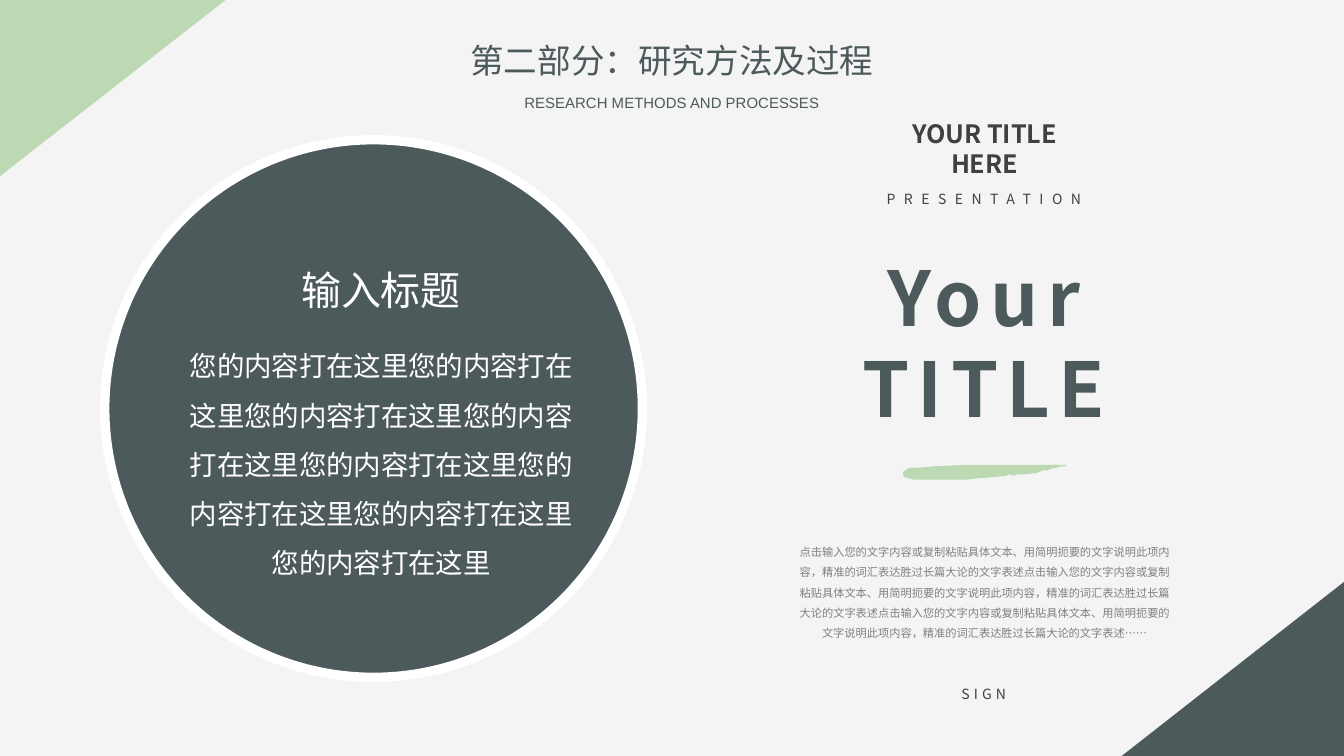
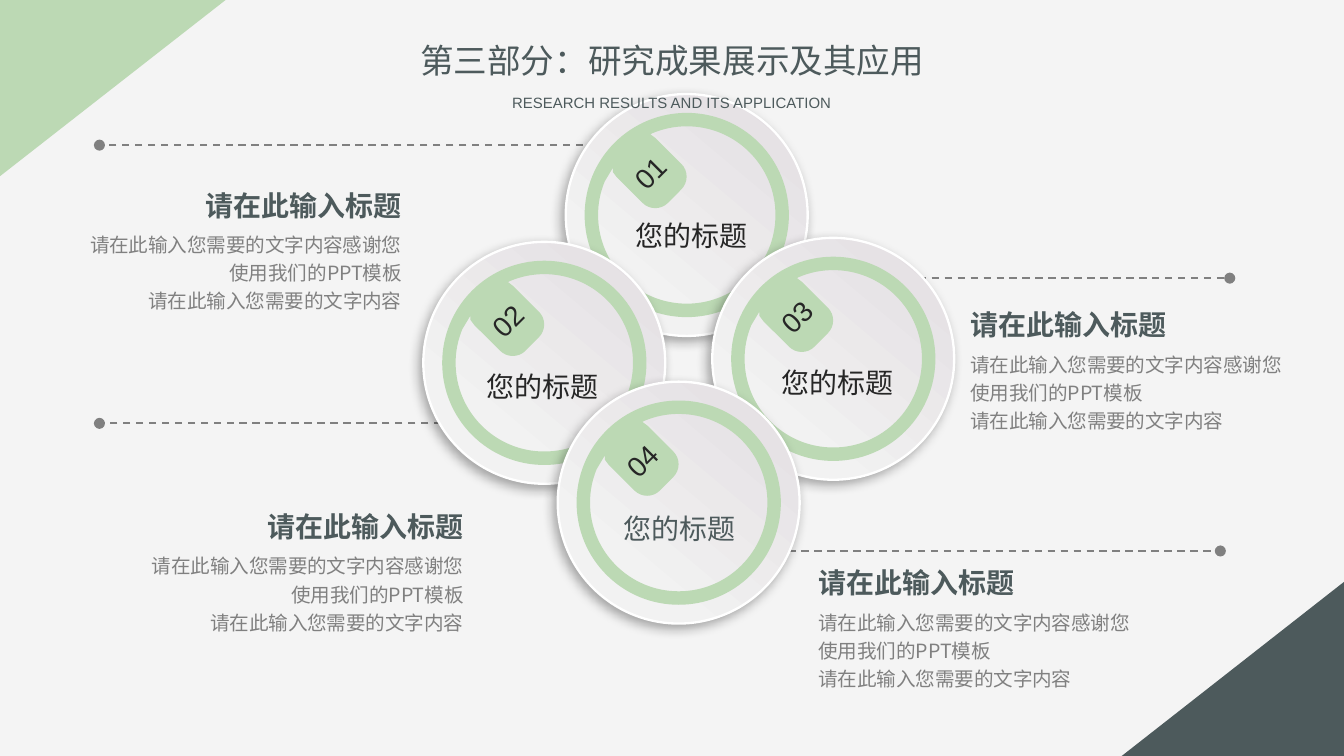
from math import cos, radians, sin, tan

from lxml import etree
from pptx import Presentation
from pptx.dml.color import RGBColor
from pptx.enum.dml import MSO_LINE
from pptx.enum.shapes import MSO_CONNECTOR, MSO_SHAPE
from pptx.enum.text import MSO_AUTO_SIZE, PP_ALIGN
from pptx.oxml.ns import qn
from pptx.util import Inches, Pt

LEFT, MID, RIGHT = PP_ALIGN.LEFT, PP_ALIGN.CENTER, PP_ALIGN.RIGHT
GROW = MSO_AUTO_SIZE.SHAPE_TO_FIT_TEXT
OVAL, WEDGE = MSO_SHAPE.OVAL, MSO_SHAPE.RIGHT_TRIANGLE
STRAIGHT, DASH = MSO_CONNECTOR.STRAIGHT, MSO_LINE.DASH

WIDE, HIGH = 10, 5.625
SANS, LATIN = "Noto Sans CJK SC", "Arial"
GREEN, SLATE, PAPER, WHITE = "BCD9B4", "4D5A5C", "F4F4F4", "FFFFFF"
GREY, DARK, INK = "808080", "404040", "262626"

METHODS = ("第二部分：研究方法及过程", 3.23, "RESEARCH METHODS AND PROCESSES", 2.42)
RESULTS = ("第三部分：研究成果展示及其应用", 3.99, "RESEARCH RESULTS AND ITS APPLICATION", 2.63)

FILLER = "您的内容打在这里" * 8
CLICK = "点击输入您的文字内容或复制粘贴具体文本、用简明扼要的文字说明此项内容，精准的词汇表达胜过长篇大论的文字表述"
STROKE = [
    (7.56, 3.46), (7.84, 3.46), (7.9, 3.46), (7.93, 3.46), (7.93, 3.47), (7.88, 3.47),
    (7.88, 3.48), (7.86, 3.48), (7.81, 3.49), (7.8, 3.5), (7.76, 3.5), (7.71, 3.52),
    (7.62, 3.53), (7.56, 3.53), (7.55, 3.54), (7.5, 3.53), (7.49, 3.54), (7.4, 3.55),
    (7.27, 3.56), (7.19, 3.57), (7.09, 3.57), (7, 3.57), (6.87, 3.57), (6.8, 3.57),
    (6.76, 3.56), (6.73, 3.55), (6.72, 3.54), (6.72, 3.52), (6.72, 3.51), (6.75, 3.49),
    (6.77, 3.48), (6.84, 3.48), (6.95, 3.47), (7.17, 3.46), (7.3, 3.46), (7.43, 3.46),
]

LABEL = "您的标题"
DISCS = [
    ("01", 5.11, 1.6, -0.48, -0.02, INK),
    ("03", 6.2, 2.67, -0.48, 0, INK),
    ("02", 4.05, 2.7, -0.53, 0, INK),
    ("04", 5.05, 3.74, -0.51, 0.02, SLATE),
]
LINKS = [(4.47, 0.74, 1.08), (3.32, 0.74, 3.15), (6.8, 9.15, 2.07), (5.83, 9.08, 4.1)]
HEAD = "请在此输入标题"
BODY = ["请在此输入您需要的文字内容感谢您使用我们的PPT模板", "请在此输入您需要的文字内容"]
NOTES = [(7.12, 2.25, LEFT), (1.4, 1.36, RIGHT), (5.99, 4.17, LEFT), (1.86, 3.75, RIGHT)]


def tint(code):
    return RGBColor.from_string(code)


def node(root, tag, **attrs):
    return etree.SubElement(root, qn(tag), attrs)


def text(slide, box, lines, size, color, font=SANS, align=MID, bold=False,
         wrap=False, space=None, gap=None, pad=(0.1, 0.05), turn=0):
    shape = slide.shapes.add_textbox(*map(Inches, box))
    shape.rotation = turn
    frame = shape.text_frame
    frame.word_wrap, frame.auto_size = wrap, GROW
    frame.margin_left = frame.margin_right = Inches(pad[0])
    frame.margin_top = frame.margin_bottom = Inches(pad[1])
    frame.text = "\n".join(lines)
    for para in frame.paragraphs:
        para.alignment = align
        if gap:
            para.line_spacing = gap
        face = para.font
        face.name, face.size, face.bold = font, Pt(size), bold
        face.color.rgb = tint(color)
        props = para._p.pPr.find(qn("a:defRPr"))
        node(props, "a:ea", typeface=font)
        if space:
            props.set("spc", str(int(space * 100)))


def paint(shape, fill, line=None, width=1):
    shape.shadow.inherit = False
    if fill:
        shape.fill.solid()
        shape.fill.fore_color.rgb = tint(fill)
    if line:
        shape.line.color.rgb = tint(line)
        shape.line.width = Pt(width)
    else:
        shape.line.fill.background()


def preset(slide, kind, x, y, w, h):
    return slide.shapes.add_shape(kind, *map(Inches, (x, y, w, h)))


def outline(slide, *loops):
    """Build a green shape from loops of steps: one point is a line, three a curve."""
    build = None
    for loop in loops:
        pts = [(Inches(x), Inches(y)) for step in loop for x, y in step]
        if build:
            build.move_to(*pts[0])
        else:
            build = slide.shapes.build_freeform(*pts[0], scale=1.0)
        build.add_line_segments(pts[1:], close=True)
    shape = build.convert_to_shape()
    lines = iter(list(shape._element.iter(qn("a:lnTo"))))
    for step in (step for loop in loops for step in loop[1:]):
        parts = [next(lines) for _ in step]
        if len(parts) == 3:
            curve = etree.Element(qn("a:cubicBezTo"))
            parts[0].addprevious(curve)
            for part in parts:
                curve.append(part[0])
                part.getparent().remove(part)
    paint(shape, GREEN)
    return shape


def bend(r, start, end, x=0, y=0):
    """Return the curve step for an arc of at most a quarter turn."""
    a, b = radians(start), radians(end)
    k = 4 / 3 * tan((b - a) / 4)
    return [(x + r * (cos(a) - k * sin(a)), y + r * (sin(a) + k * cos(a))),
            (x + r * (cos(b) + k * sin(b)), y + r * (sin(b) - k * cos(b))),
            (x + r * cos(b), y + r * sin(b))]


def place(loop, x, y, turn=0):
    c, s = cos(radians(turn)), sin(radians(turn))
    return [[(x + c * a - s * b, y + s * a + c * b) for a, b in step] for step in loop]


RIM = [[(0.76, 0)]] + [bend(0.76, a, a + 90) for a in range(0, 360, 90)]
HOLE = [
    [(0, -0.66)], bend(0.66, -90, -113), [(-0.27, -0.6)], [(-0.23, -0.57)], [(-0.04, -0.38)],
    bend(0.134, -45, 45, -0.135, -0.285), [(-0.14, -0.09)],
    bend(0.134, 45, 135, -0.235, -0.185), [(-0.52, -0.28)], [(-0.55, -0.32)],
    [(-0.55, -0.35)], [(-0.61, -0.25)], bend(0.66, 202, 180),
] + [bend(0.66, a, a - 90) for a in (180, 90, 0)]


def page(deck):
    slide = deck.slides.add_slide(deck.slide_layouts[6])
    slide.background.fill.solid()
    slide.background.fill.fore_color.rgb = tint(PAPER)
    for x, y, w, h, turn, fill in ((0.18, -0.19, 1.32, 1.69, 90, GREEN),
                                   (8.52, 4.15, 1.3, 1.66, 270, SLATE)):
        wedge = preset(slide, WEDGE, x, y, w, h)
        wedge.rotation = turn
        paint(wedge, fill)
    return slide


def title(slide, name, wide, sub, span):
    text(slide, ((WIDE - wide) / 2, 0.25, wide, 0.4), [name], 18, SLATE)
    text(slide, ((WIDE - span) / 2, 0.65, span, 0.24), [sub], 8, SLATE, LATIN)


def methods(deck):
    slide = page(deck)
    text(slide, (6.67, 0.83, 1.31, 0.56), ["YOUR TITLE", "HERE"], 13.5, DARK, bold=True)
    text(slide, (6.47, 1.37, 1.7, 0.23), ["PRESENTATION"], 7.5, DARK, space=4.5)
    text(slide, (6.26, 1.82, 2.12, 1.46), ["Your", "TITLE"], 40.5, SLATE, bold=True, space=4.5)
    text(slide, (7.04, 5.05, 0.56, 0.23), ["SIGN"], 7.5, DARK, space=2.2)
    outline(slide, [[spot] for spot in STROKE])
    text(slide, (5.94, 4.01, 2.77, 0.74), [CLICK * 3 + "……"], 6, GREY,
         wrap=True, gap=1.5, pad=(0, 0))
    title(slide, *METHODS)
    paint(preset(slide, OVAL, 0.78, 1.04, 4, 4), SLATE, WHITE, 5)
    text(slide, (1.26, 2.43, 3.15, 1.95), [FILLER], 14.64, WHITE, wrap=True, gap=1.5)
    text(slide, (2.12, 1.93, 1.43, 0.46), ["输入标题"], 21.4, WHITE)


def link(slide, start, end, y):
    line = slide.shapes.add_connector(STRAIGHT, *map(Inches, (start, y, end, y)))
    line.line.color.rgb = tint(GREY)
    line.line.width, line.line.dash_style = Pt(1), DASH
    props = line._element.spPr
    for tag in ("a:headEnd", "a:tailEnd"):
        node(props.find(qn("a:ln")), tag, type="oval")
    node(props, "a:effectLst")


def disc(slide, num, x, y, dx, dy, color):
    plate = preset(slide, OVAL, x - 0.9, y - 0.9, 1.8, 1.8)
    plate.fill.gradient()
    plate.fill.gradient_angle = 230
    for stop, (spot, code) in zip(plate.fill.gradient_stops, ((0, "E2DDE1"), (0.76, "F2F2F2"))):
        stop.position, stop.color.rgb = spot, tint(code)
    paint(plate, None, WHITE, 1.25)
    cast = node(plate._element.spPr.find(qn("a:effectLst")), "a:outerShdw",
                blurRad=str(Pt(6)), dist=str(Pt(3)), dir=str(135 * 60000), rotWithShape="0")
    node(node(cast, "a:srgbClr", val="000000"), "a:alpha", val="32000")
    outline(slide, place(RIM, x, y), place(HOLE, x, y, -45)).rotation = 45
    text(slide, (x - 0.64, y - 0.49, 0.73, 0.35), [num], 15, INK, LATIN, wrap=True, turn=315)
    text(slide, (x + dx, y + dy, 1.04, 0.35), [LABEL], 15, color, align=LEFT)


def note(slide, x, y, side):
    pad = (0.07, 0.04)
    left = side == LEFT
    wide = 2.5 if left else 2.56
    start = x + 0.03 if left else x + 1.66 - wide
    text(slide, (x, y, 1.66, 0.33), [HEAD], 15, SLATE, align=MID if left else RIGHT,
         bold=True, pad=pad)
    text(slide, (start, y + 0.3, wide, 0.7), BODY, 10.5, GREY, align=side,
         wrap=True, gap=1.2, pad=pad)


def results(deck):
    slide = page(deck)
    for draw, rows in ((link, LINKS), (disc, DISCS), (note, NOTES)):
        for row in rows:
            draw(slide, *row)
    title(slide, *RESULTS)


def main():
    deck = Presentation()
    deck.slide_width, deck.slide_height = Inches(WIDE), Inches(HIGH)
    methods(deck)
    results(deck)
    deck.save("out.pptx")


if __name__ == "__main__":
    main()
